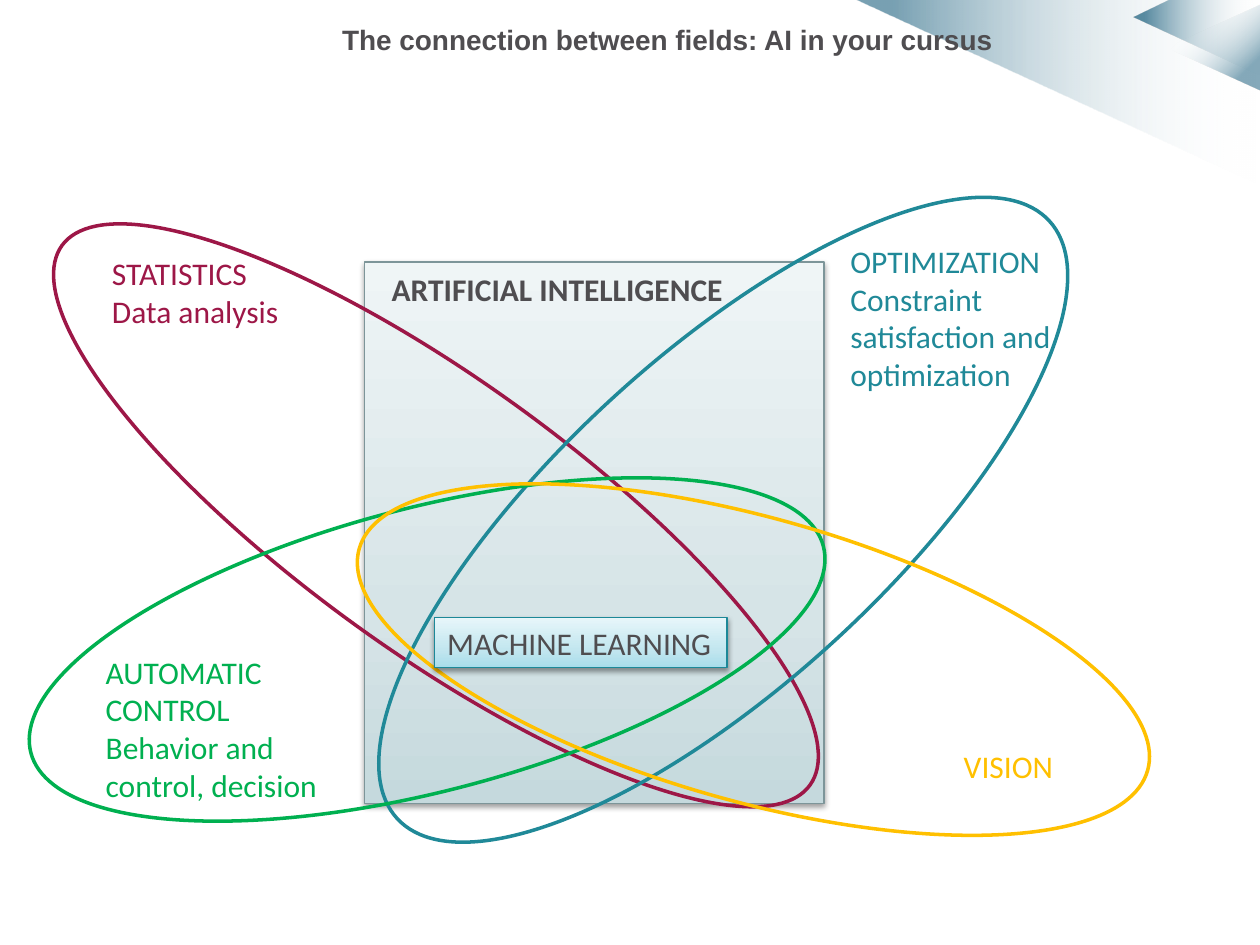
"""Build the slide on the fields around artificial intelligence."""
from lxml import etree
from pptx import Presentation
from pptx.dml.color import RGBColor as RGB
from pptx.enum.shapes import MSO_SHAPE as Kind
from pptx.enum.text import MSO_ANCHOR as Anchor, MSO_AUTO_SIZE as Fit, PP_ALIGN as Align
from pptx.oxml import parse_xml
from pptx.oxml.ns import nsdecls, qn
from pptx.util import Inches, Pt

TITLE = "The connection between fields: AI in your cursus"
GREY, RED, TEAL, GREEN, GOLD = "4F4D50", "9D1747", "208998", "00B050", "FFC000"

CORNER = [
    ([(6.79, 0), (10, 0), (10, 1.47)], 0, [(9, "004D6F", 53), (99, "FFFFFF", 0)]),
    ([(9, 0.14), (9.29, 0), (10, 0), (10, 0.6)], 0,
     [(9, "004D6F", 63), (99, "FFFFFF", 0)]),
    ([(9.26, 0.38), (10, 0.04), (10, 0.72)], 45,
     [(27, "FFFFFF", 0), (81, "004D6F", 48)]),
]
PANELS = [
    ((2.89, 2.08, 3.65, 4.3), "7D9599", ("C5D9DD", "D6E4E7", "EFF5F6"), None),
    ((3.45, 4.9, 2.32, 0.4), "1C8898", ("A7DCEA", "C2E6EF", "E7F6FA"), "MACHINE LEARNING"),
]
RINGS = [
    ((-0.2, 3.01, 7.32, 2.16), 35.8, RED),
    ((2.23, 2.82, 7.02, 2.61), 137.5, TEAL),
    ((0.14, 4.03, 6.5, 2.25), 345.4, GREEN),
    ((2.73, 4.11, 6.5, 2.25), 15.7, GOLD),
]
LABELS = [
    ((3.01, 2.09, 3.03, 0.4), GREY, True, ["ARTIFICIAL INTELLIGENCE"]),
    ((0.79, 1.97, 1.98, 0.71), RED, False, ["STATISTICS", "Data analysis"]),
    ((6.65, 1.87, 1.98, 1.31), TEAL, False,
     ["OPTIMIZATION", "Constraint satisfaction and optimization"]),
    ((0.74, 5.13, 1.98, 1.31), GREEN, False,
     ["AUTOMATIC CONTROL", "Behavior and control, decision"]),
    ((7.55, 5.88, 1.98, 0.4), GOLD, False, ["VISION"]),
]


def color(text):
    return RGB.from_string(text)


def inch(nums):
    return [Inches(n) for n in nums]


def shade(shape, angle, stops):
    shape.fill.background()
    props = shape._element.spPr
    marks = "".join(
        f'<a:gs pos="{pos * 1000}"><a:srgbClr val="{tint}">'
        f'<a:alpha val="{alpha * 1000}"/></a:srgbClr></a:gs>'
        for pos, tint, alpha in stops)
    props.replace(props.find(qn("a:noFill")), parse_xml(
        f'<a:gradFill {nsdecls("a")} rotWithShape="1"><a:gsLst>{marks}</a:gsLst>'
        f'<a:lin ang="{angle * 60000}" scaled="0"/></a:gradFill>'))


def drop(shape):
    glow = shape._element.spPr.find(qn("a:effectLst"))
    cast = etree.SubElement(glow, qn("a:outerShdw"), blurRad=str(Pt(3.1)),
                            dist=str(Pt(1.6)), dir="5400000", rotWithShape="0")
    tint = etree.SubElement(cast, qn("a:srgbClr"), val="000000")
    etree.SubElement(tint, qn("a:alpha"), val="38000")


def write(frame, lines, tint, bold=False, size=18, face="Calibri", align=Align.LEFT):
    frame.word_wrap = True
    frame.vertical_anchor = Anchor.TOP
    for i, line in enumerate(lines):
        para = frame.add_paragraph() if i else frame.paragraphs[0]
        para.alignment = align
        run = para.add_run()
        run.text = line
        font = run.font
        font.name, font.size, font.bold = face, Pt(size), bold
        font.color.rgb = color(tint)


def outline(shapes, kind, box, tint, width):
    shape = shapes.add_shape(kind, *inch(box))
    shape.shadow.inherit = False
    shape.line.color.rgb = color(tint)
    shape.line.width = Pt(width)
    return shape


def panel(shapes, box, edge, tints, text):
    shape = outline(shapes, Kind.RECTANGLE, box, edge, 0.75)
    shade(shape, 270, [(pos, tint, 100) for pos, tint in zip((0, 35, 100), tints)])
    drop(shape)
    if text:
        write(shape.text_frame, [text], GREY)


def main():
    deck = Presentation()
    deck.slide_width, deck.slide_height = inch((10, 7.5))
    slide = deck.slides.add_slide(deck.slide_layouts[5])
    shapes = slide.shapes

    for points, angle, stops in CORNER:
        first, *rest = [inch(point) for point in points]
        pen = shapes.build_freeform(*first)
        pen.add_line_segments(rest, close=True)
        shape = pen.convert_to_shape()
        shape.shadow.inherit = False
        shape.line.fill.background()
        shade(shape, angle, stops)

    title = shapes.title
    title.left, title.top, title.width, title.height = inch((2.01, 0.13, 5.97, 0.46))
    title.text_frame.auto_size = Fit.NONE
    write(title.text_frame, [TITLE], GREY, True, 16, "Arial", Align.RIGHT)
    shapes._spTree.append(title._element)

    panel(shapes, *PANELS[0])
    for box, turn, tint in RINGS:
        ring = outline(shapes, Kind.OVAL, box, tint, 2)
        ring.fill.background()
        ring.rotation = turn
    for box, tint, bold, lines in LABELS:
        write(shapes.add_textbox(*inch(box)).text_frame, lines, tint, bold)
    panel(shapes, *PANELS[1])
    deck.save("out.pptx")


if __name__ == "__main__":
    main()
